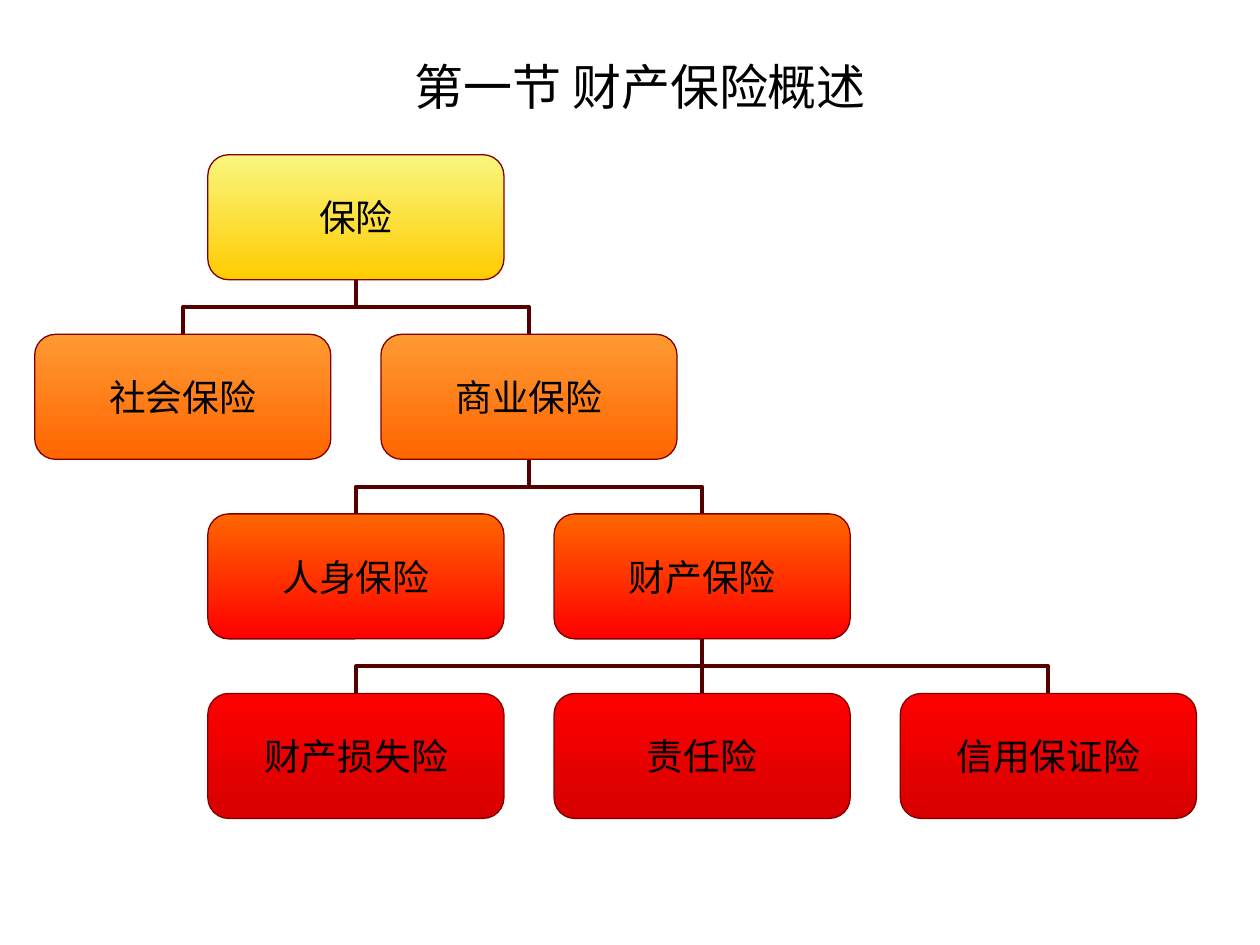
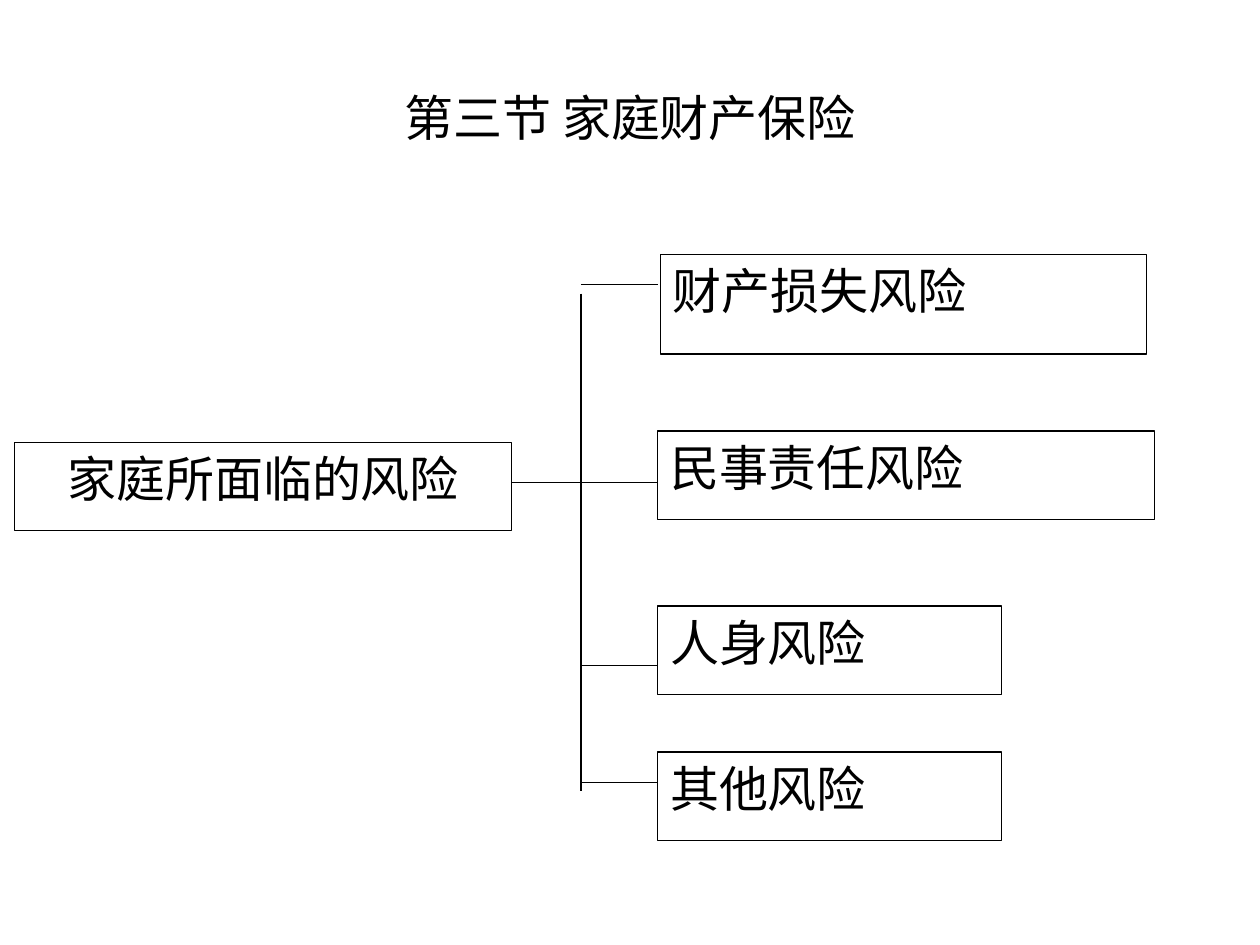
"""Build two slides on property insurance: a class tree and a list of household risks."""
from lxml import etree
from pptx import Presentation
from pptx import util as u
from pptx.dml.color import RGBColor as Rgb
from pptx.enum import shapes, text
from pptx.oxml.ns import qn

theme = {
    "ink": Rgb.from_string("000000"),
    "edge": Rgb.from_string("800000"),
    "link": Rgb.from_string("540000"),
    "tiers": [("F9F67F", "FFCC00"), ("FF9933", "FF6600"),
              ("FF6600", "FF0000"), ("FF0000", "D60000")],
    "head": {"name": "Noto Sans", "size": u.Pt(28)},
    "node": {"name": "Times New Roman", "size": u.Pt(21)},
    "risk": {"name": "Times New Roman", "size": u.Pt(28)},
    "thin": u.Pt(0.75),
    "thick": u.Pt(2.25),
}
kind = shapes.MSO_CONNECTOR
form = shapes.MSO_SHAPE
align = text.PP_ALIGN
mid = text.MSO_ANCHOR.MIDDLE
top = text.MSO_ANCHOR.TOP


def write(shape, words, style, side, anchor):
    frame = shape.text_frame
    frame.text = words
    frame.word_wrap = True
    frame.vertical_anchor = anchor
    par = frame.paragraphs[0]
    par.alignment = side
    for key, val in style.items():
        setattr(par.font, key, val)
    par.font.color.rgb = theme["ink"]
    return frame


def join(slide, sort, ends, color, width):
    line = slide.shapes.add_connector(sort, *[u.Cm(n) for n in ends])
    line.line.color.rgb = color
    line.line.width = width
    etree.SubElement(line._element.spPr, qn("a:effectLst"))
    return line


deck = Presentation()
deck.slide_width, deck.slide_height = u.Cm(25.4), u.Cm(19.05)

heads = [("第一节 财产保险概述", (5.31, 0.33, 15.19, 2.79)),
         ("第三节 家庭财产保险", (1.27, 0.76, 22.86, 3.18))]
pages = []
for words, area in heads:
    page = deck.slides.add_slide(deck.slide_layouts[5])
    title = page.shapes.title
    for key, val in zip(("left", "top", "width", "height"), area):
        setattr(title, key, u.Cm(val))
    write(title, words, theme["head"], align.CENTER, mid)
    pages.append(page)
tree, risks = pages

wide, high = 5.97, 2.52
left, step = 0.7, 3.49
first, drop = 3.12, 3.62

nodes = {
    "保险": (1, 0, None),
    "社会保险": (0, 1, "保险"),
    "商业保险": (2, 1, "保险"),
    "人身保险": (1, 2, "商业保险"),
    "财产保险": (3, 2, "商业保险"),
    "财产损失险": (1, 3, "财产保险"),
    "责任险": (3, 3, "财产保险"),
    "信用保证险": (5, 3, "财产保险"),
}

gap = drop - high
for col, row, boss in nodes.values():
    if boss is None:
        continue
    start = left + nodes[boss][0] * step + wide / 2
    end = left + col * step + wide / 2
    low = first + row * drop
    if start == end:
        join(tree, kind.STRAIGHT, (start, low - gap, end, low),
             theme["link"], theme["thick"])
        continue
    span = abs(end - start)
    midx, midy = (start + end) / 2, low - gap / 2
    way = 1 if end < start else -1
    line = join(tree, kind.ELBOW,
                (midx - way * gap / 2, midy - span / 2,
                 midx + way * gap / 2, midy + span / 2),
                theme["link"], theme["thick"])
    turn = 90 if way > 0 else 270
    line._element.spPr.find(qn("a:xfrm")).set("rot", str(turn * 60000))

for words, (col, row, boss) in nodes.items():
    box = tree.shapes.add_shape(
        form.ROUNDED_RECTANGLE, u.Cm(left + col * step),
        u.Cm(first + row * drop), u.Cm(wide), u.Cm(high))
    box.shadow.inherit = False
    box.fill.gradient()
    box.fill.gradient_angle = 270
    for stop, tint in zip(box.fill.gradient_stops, theme["tiers"][row]):
        stop.color.rgb = Rgb.from_string(tint)
    box.line.color.rgb = theme["edge"]
    box.line.width = theme["thin"]
    frame = write(box, words, theme["node"], align.CENTER, mid)
    for side in ("left", "right", "top", "bottom"):
        setattr(frame, "margin_" + side, 0)

items = [
    ("家庭所面临的风险", (0.3, 8.92, 10.01, 1.78), align.CENTER),
    ("财产损失风险", (13.31, 5.13, 9.8, 2.01), align.JUSTIFY),
    ("民事责任风险", (13.26, 8.69, 10.01, 1.78), align.JUSTIFY),
    ("人身风险", (13.26, 12.22, 6.93, 1.78), align.JUSTIFY),
    ("其他风险", (13.26, 15.16, 6.93, 1.78), align.JUSTIFY),
]
for words, area, side in items:
    box = risks.shapes.add_shape(form.RECTANGLE, *[u.Cm(n) for n in area])
    box.shadow.inherit = False
    box.fill.background()
    box.line.color.rgb = theme["ink"]
    box.line.width = theme["thin"]
    write(box, words, theme["risk"], side, top)

stem, edge, root = 11.71, 13.26, 9.73
lines = [(stem, 5.92, stem, 15.95), (10.31, root, stem, root)]
lines += [(stem, y, edge, y) for y in (5.74, root, 13.41, 15.77)]
for ends in lines:
    join(risks, kind.STRAIGHT, ends, theme["ink"], theme["thin"])

deck.save("out.pptx")
